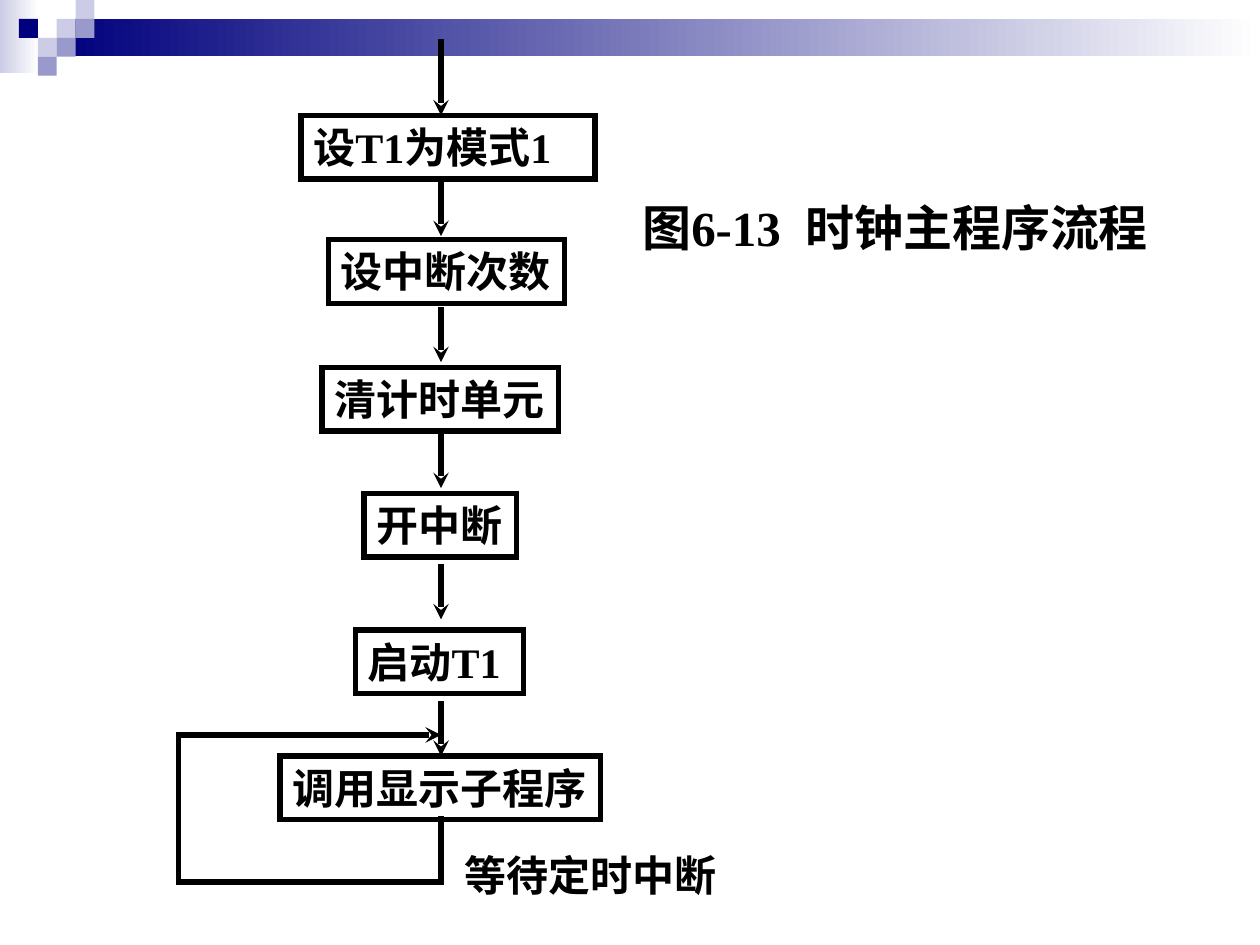
from pptx import Presentation
from pptx.util import Pt
from pptx.dml.color import RGBColor
from pptx.enum.shapes import MSO_CONNECTOR, MSO_SHAPE
from pptx.enum.text import MSO_ANCHOR, MSO_AUTO_SIZE, PP_ALIGN
from pptx.oxml.ns import qn
from lxml.etree import SubElement

BLACK = RGBColor(0x00, 0x00, 0x00)
WHITE = RGBColor(0xFF, 0xFF, 0xFF)
NAVY = RGBColor(0x00, 0x00, 0x7D)
LILAC = RGBColor(0x99, 0x99, 0xCC)
PALE = RGBColor(0xCC, 0xCC, 0xE6)


def write(sp, text, size):
    tf = sp.text_frame
    tf.text = text
    tf.word_wrap = False
    tf.auto_size = MSO_AUTO_SIZE.SHAPE_TO_FIT_TEXT
    tf.vertical_anchor = MSO_ANCHOR.TOP
    p = tf.paragraphs[0]
    p.alignment = PP_ALIGN.LEFT
    font = p.runs[0].font
    font.name = "Times New Roman"
    font.size = Pt(size)
    font.bold = True
    font.color.rgb = BLACK


def outline(sp, arrow=False):
    sp.line.color.rgb = BLACK
    sp.line.width = Pt(3)
    ln = sp._element.spPr.find(qn("a:ln"))
    ln.set("cap", "sq")
    SubElement(ln, qn("a:miter"), lim="800000")
    if arrow:
        SubElement(ln, qn("a:tailEnd"), type="stealth")
    SubElement(sp._element.spPr, qn("a:effectLst"))


prs = Presentation()
prs.slide_width = Pt(720)
prs.slide_height = Pt(540)
s = prs.slides.add_slide(prs.slide_layouts[6])

for x, y, w, h, color in [(0, 0, 22.3, 41.8, PALE), (32.4, 10.8, 687.6, 21.4, NAVY)]:
    sp = s.shapes.add_shape(MSO_SHAPE.RECTANGLE, Pt(x), Pt(y), Pt(w), Pt(h))
    sp.shadow.inherit = False
    sp.line.fill.background()
    sp.fill.gradient()
    sp.fill.gradient_angle = 180
    for stop, rgb in zip(sp.fill.gradient_stops, (WHITE, color)):
        stop.color.rgb = rgb

TILE = 10.8
tiles = [
    (3, 1, PALE), (4, 0, PALE), (4, 1, LILAC), (2, 2, PALE),
    (1, 1, NAVY), (3, 2, LILAC), (2, 3, LILAC),
]
for col, row, color in tiles:
    sp = s.shapes.add_shape(
        MSO_SHAPE.RECTANGLE, Pt(col * TILE), Pt(row * TILE), Pt(TILE), Pt(TILE))
    sp.shadow.inherit = False
    sp.line.fill.background()
    sp.fill.solid()
    sp.fill.fore_color.rgb = color

steps = [
    ("设T1为模式1", 172, 66, 168),
    ("设中断次数", 187.5, 137, 135),
    ("清计时单元", 184, 210, 135),
    ("开中断", 208, 282, 87),
    ("启动T1", 203, 360, 96),
    ("调用显示子程序", 160, 432, 183),
]
for text, x, y, w in steps:
    sp = s.shapes.add_shape(MSO_SHAPE.RECTANGLE, Pt(x), Pt(y), Pt(w), Pt(36.3))
    sp.fill.background()
    outline(sp)
    write(sp, text, 24)

AXIS = 252
arrows = [((AXIS, y), (AXIS, y + 30), True) for y in (105, 177, 249, 324, 402)]
loop = [(AXIS, 468), (AXIS, 504), (102, 504), (102, 420), (AXIS, 420)]
sides = [(a, b, b == loop[-1]) for a, b in zip(loop, loop[1:])]
for (x1, y1), (x2, y2), arrow in [((AXIS, 24), (AXIS, 66), True)] + arrows + sides:
    cx = s.shapes.add_connector(MSO_CONNECTOR.STRAIGHT, Pt(x1), Pt(y1), Pt(x2), Pt(y2))
    outline(cx, arrow)

labels = [
    ("等待定时中断", 258.5, 482, 159, 36.3, 24),
    ("图6-13  时钟主程序流程", 360, 109.5, 318, 41, 28),
]
for text, x, y, w, h, size in labels:
    write(s.shapes.add_textbox(Pt(x), Pt(y), Pt(w), Pt(h)), text, size)

prs.save("out.pptx")
